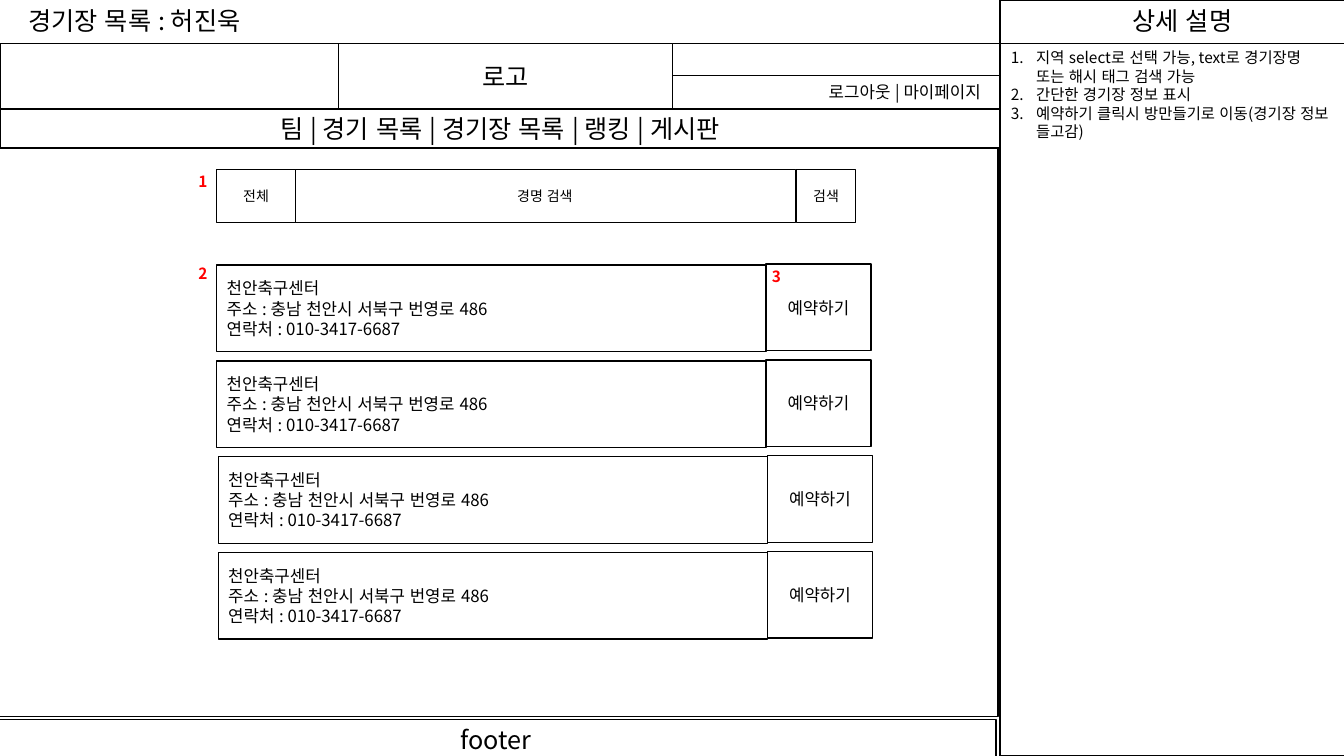
import dataclasses
import typing

import lxml.etree
import pptx
import pptx.dml.color
import pptx.enum.lang
import pptx.enum.shapes
import pptx.enum.text
import pptx.oxml.ns
import pptx.util

ALIGN = pptx.enum.text.PP_ALIGN
ANCHOR = pptx.enum.text.MSO_ANCHOR
RGB = pptx.dml.color.RGBColor
CELL = pptx.util.Inches(0.1)
COLS, ROWS = 133.33, 75


@dataclasses.dataclass(frozen=True)
class Theme:
    font: str = "Noto Sans CJK KR"
    ink: RGB = RGB(0, 0, 0)
    paper: RGB = RGB(255, 255, 255)
    mark: RGB = RGB(255, 0, 0)
    head: int = 18
    body: int = 12
    note: int = 11
    small: int = 10
    line: int = 1


THEME = Theme()


@dataclasses.dataclass(frozen=True)
class Box:
    col: float
    row: float
    wide: float
    high: float
    text: str = ""
    size: int = THEME.head
    align: ALIGN = ALIGN.CENTER
    right: float = 1


@dataclasses.dataclass(frozen=True)
class Label:
    col: float
    row: float
    wide: float
    high: float
    text: str
    size: int = THEME.head
    align: ALIGN = ALIGN.LEFT
    color: RGB = THEME.ink
    bold: bool = False
    wrap: bool = True
    listed: bool = False


def grid(*cells: float) -> list[int]:
    return [round(cell * CELL) for cell in cells]


def apply(target: typing.Any, values: dict[str, typing.Any]) -> None:
    for name, value in values.items():
        setattr(target, name, value)


def number(para: typing.Any) -> None:
    props = para._p.get_or_add_pPr()
    props.set("marL", str(pptx.util.Inches(0.25)))
    props.set("indent", str(-pptx.util.Inches(0.25)))
    mark = lxml.etree.SubElement(props, pptx.oxml.ns.qn("a:buAutoNum"))
    mark.set("type", "arabicPeriod")


def write(frame: typing.Any, item: Box | Label, color: RGB = THEME.ink,
          bold: bool = False, listed: bool = False) -> None:
    for pos, text in enumerate(item.text.split("\n")):
        para = frame.add_paragraph() if pos else frame.paragraphs[0]
        if listed:
            number(para)
        para.alignment = item.align
        run = para.add_run()
        run.text = text
        apply(run.font, {
            "name": THEME.font,
            "size": pptx.util.Pt(item.size),
            "bold": bold,
            "language_id": pptx.enum.lang.MSO_LANGUAGE_ID.KOREAN,
        })
        run.font.color.rgb = color
        east = lxml.etree.SubElement(run._r.get_or_add_rPr(), pptx.oxml.ns.qn("a:ea"))
        east.set("typeface", THEME.font)


def draw_box(slide: typing.Any, box: Box) -> None:
    shape = slide.shapes.add_shape(
        pptx.enum.shapes.MSO_SHAPE.RECTANGLE,
        *grid(box.col, box.row, box.wide, box.high))
    shape.shadow.inherit = False
    shape.fill.solid()
    shape.fill.fore_color.rgb = THEME.paper
    shape.line.color.rgb = THEME.ink
    shape.line.width = pptx.util.Pt(THEME.line)
    if box.text:
        apply(shape.text_frame, {
            "word_wrap": True,
            "vertical_anchor": ANCHOR.MIDDLE,
            "margin_right": grid(box.right)[0],
        })
        write(shape.text_frame, box)


def fill_label(shape: typing.Any, label: Label) -> None:
    left, top, width, height = grid(label.col, label.row, label.wide, label.high)
    apply(shape, {"left": left, "top": top, "width": width, "height": height})
    apply(shape.text_frame, {
        "word_wrap": label.wrap,
        "vertical_anchor": ANCHOR.TOP,
        "auto_size": pptx.enum.text.MSO_AUTO_SIZE.NONE,
    })
    write(shape.text_frame, label, label.color, label.bold, label.listed)


def draw_label(slide: typing.Any, label: Label) -> None:
    place = grid(label.col, label.row, label.wide, label.high)
    fill_label(slide.shapes.add_textbox(*place), label)


SIDE = 99.2
TOP = 4.3
PLACE = "천안축구센터\n주소 : 충남 천안시 서북구 번영로 486\n연락처 : 010-3417-6687"
NOTES = "\n".join((
    "지역 select로 선택 가능, text로 경기장명 또는 해시 태그 검색 가능",
    "간단한 경기장 정보 표시",
    "예약하기 클릭시 방만들기로 이동(경기장 정보 들고감)",
))

TITLE = Label(1.8, 0, 46.5, 4, "경기장 목록 : 허진욱")

FRAME = (
    Box(SIDE, TOP, 34.2, ROWS - TOP),
    Box(SIDE, 0, 34.2, TOP),
    Box(-0.2, 14.7, SIDE, 56.4),
    Box(0, TOP, SIDE, 10.4),
    Box(33.6, TOP, 33.1, 6.5, "로고"),
    Box(66.7, 7.5, 32.5, 3.3, "로그아웃 | 마이페이지", THEME.body, ALIGN.RIGHT, 1.9),
    Box(0, 10.8, SIDE, 3.9, "팀 | 경기 목록 | 경기장 목록 | 랭킹 | 게시판"),
    Box(-0.4, 71.4, SIDE, 3.9, "footer"),
)

SEARCH = tuple(
    Box(col, 16.8, wide, 5.3, text, THEME.small)
    for col, wide, text in (
        (29.2, 49.7, "경명 검색"), (21.5, 7.8, "전체"), (79, 5.9, "검색")))

CARDS = tuple(
    box
    for pos, shift in enumerate((0, 0, 0.15, 0.15))
    for box in (
        Box(21.5 + shift, 26.3 + 9.5 * pos, 54.5, 8.6, PLACE, THEME.body, ALIGN.LEFT),
        Box(76 + shift, 26.2 + 9.5 * pos, 10.4, 8.6, "예약하기", THEME.body)))

LABELS = (
    Label(110.8, 0, 13, 4, "상세 설명", align=ALIGN.CENTER, wrap=False),
    Label(99.3, TOP, 33.8, 10.3, NOTES, THEME.note, listed=True),
) + tuple(
    Label(col, row, 3.8, 2.9, text, THEME.note, color=THEME.mark, bold=True)
    for col, row, text in ((18.7, 16.6, "1"), (18.7, 25.7, "2"), (75.6, 26, "3")))


def main() -> None:
    deck = pptx.Presentation()
    deck.slide_width, deck.slide_height = grid(COLS, ROWS)
    slide = deck.slides.add_slide(deck.slide_layouts.get_by_name("Title Only"))
    fill_label(slide.shapes.title, TITLE)
    for box in FRAME + SEARCH + CARDS:
        draw_box(slide, box)
    for label in LABELS:
        draw_label(slide, label)
    deck.save("out.pptx")


if __name__ == "__main__":
    main()
